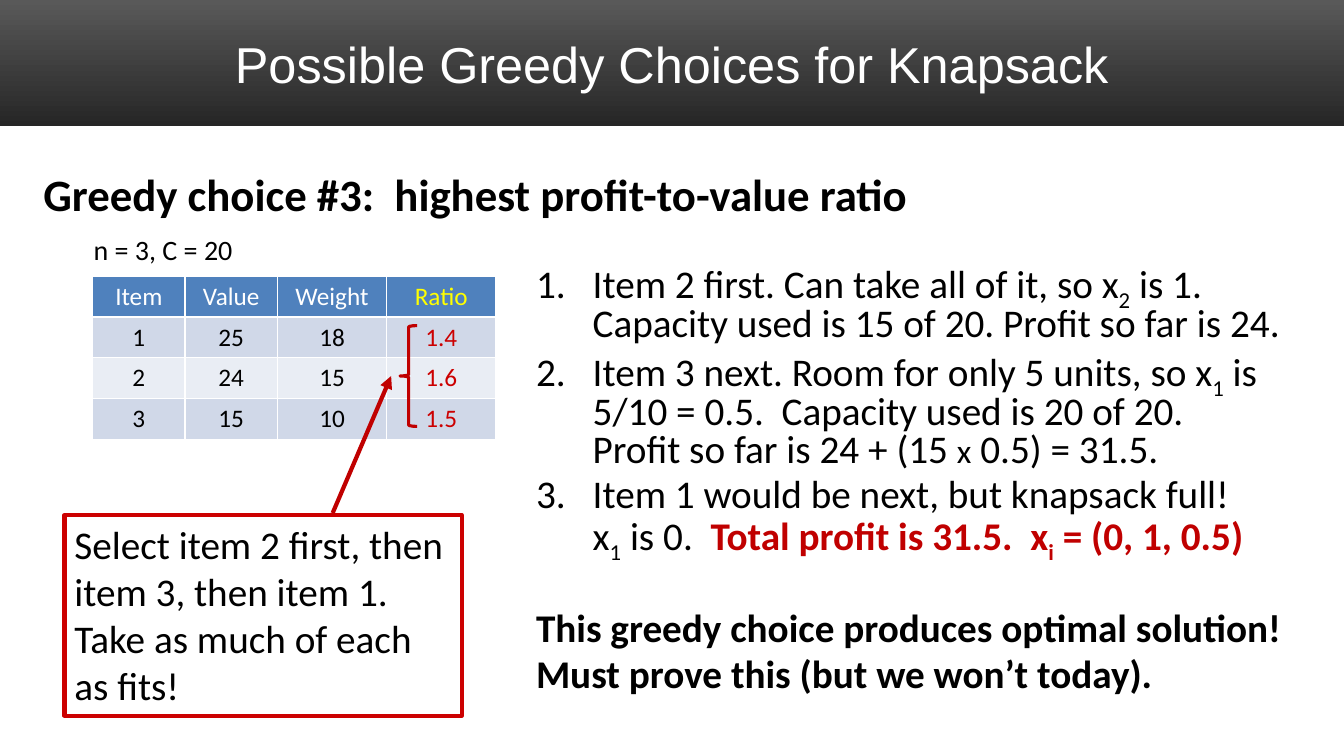
"""Builds the slide on the profit ratio as a greedy choice for the knapsack problem."""
from dataclasses import dataclass, field
from typing import Any, NamedTuple, Optional

from lxml.etree import SubElement
from pptx import Presentation
from pptx.dml.color import RGBColor as Rgb
from pptx.enum.shapes import MSO_CONNECTOR as Connector, MSO_SHAPE as Preset
from pptx.enum.text import MSO_ANCHOR as Anchor, PP_ALIGN as Align
from pptx.oxml.ns import qn
from pptx.util import Pt


@dataclass(frozen=True)
class Theme:
    """Colours, fonts and type sizes of the slide."""
    black: Rgb = Rgb(0, 0, 0)
    white: Rgb = Rgb(255, 255, 255)
    yellow: Rgb = Rgb.from_string("FFFF00")
    red: Rgb = Rgb.from_string("CC0000")
    dark_red: Rgb = Rgb.from_string("C00000")
    header: Rgb = Rgb.from_string("4F81BD")
    bands: tuple[Rgb, Rgb] = (Rgb.from_string("D0D8E8"), Rgb.from_string("E9EDF4"))
    banner: tuple[Rgb, Rgb] = (Rgb.from_string("595959"), Rgb.from_string("262626"))
    title_font: str = "Arial"
    body_font: str = "Calibri"
    title: float = 36
    heading: float = 32
    body: float = 28
    factor: float = 24
    caption: float = 20
    cell: float = 18


THEME = Theme()


class Frame(NamedTuple):
    """Left, top, width and height in points."""
    left: float
    top: float
    width: float
    height: float


class Span(NamedTuple):
    """A stretch of text with one format."""
    text: str
    size: float = THEME.body
    color: Rgb = THEME.black
    bold: bool = False
    subscript: bool = False
    font: str = THEME.body_font


@dataclass(frozen=True)
class Para:
    """A paragraph made of spans."""
    spans: list[Span]
    numbered: bool = False
    formats: dict[str, Any] = field(default_factory=dict)


@dataclass(frozen=True)
class Block:
    """A text box with its paragraphs."""
    frame: Frame
    paras: list[Para]
    formats: dict[str, Any] = field(default_factory=dict)
    outline: Optional[Rgb] = None


def emphasis(text: str, subscript: bool = False) -> Span:
    """Returns a bold dark red span."""
    return Span(text, color=THEME.dark_red, bold=True, subscript=subscript)


def index(text: str) -> Span:
    """Returns a subscript span."""
    return Span(text, subscript=True)


TIGHT = {"line_spacing": 0.8}
SPACED = TIGHT | {"space_before": Pt(5.6)}
CENTERED = {"alignment": Align.CENTER}

BANNER = Frame(0, 0, 960, 90)
TABLE = Frame(66.2, 197.2, 288, 116.8)
COLUMNS = (66, 66, 78, 78)
BRACE = Frame(285.8, 232.6, 12.2, 72)
ARROW = ((237.6, 366.5), (279.4, 268.6))
ITEMS = (
    ("Item", "Value", "Weight", "Ratio"),
    ("1", "25", "18", "1.4"),
    ("2", "24", "15", "1.6"),
    ("3", "15", "10", "1.5"),
)

STEPS = [
    Para([Span("Item 2 first. Can take all of it, so x"), index("2"),
          Span(" is 1.\nCapacity used is 15 of 20. Profit so far is 24.")], True, TIGHT),
    Para([Span("Item 3 next. Room for only 5 units, so x"), index("1"),
          Span(" is 5/10 = 0.5.  Capacity used is 20 of 20.\nProfit so far is 24 + (15 "),
          Span("x", THEME.factor), Span(" 0.5) = 31.5.")], True, SPACED),
    Para([Span("Item 1 would be next, but knapsack full!\nx"), index("1"), Span(" is 0.  "),
          emphasis("Total profit is 31.5.  x"), emphasis("i", True),
          emphasis(" = (0, 1, 0.5)")], True, SPACED),
    Para([Span("This greedy choice produces optimal solution!", bold=True)],
         formats=TIGHT | {"space_before": Pt(38.5)}),
    Para([Span("Must prove this (but we won’t today).", bold=True)], formats=SPACED),
]

BLOCKS = [
    Block(Frame(48, 12.2, 864, 66.2),
          [Para([Span("Possible Greedy Choices for Knapsack", THEME.title, THEME.white,
                      font=THEME.title_font)], formats=CENTERED)],
          {"vertical_anchor": Anchor.MIDDLE}),
    Block(Frame(23.8, 120.2, 780, 372),
          [Para([Span("Greedy choice #3:  highest profit-to-value ratio", THEME.heading,
                      bold=True)], formats={"line_spacing": 0.9})]),
    Block(Frame(59.8, 162.7, 114.5, 31.7),
          [Para([Span("n = 3, C = 20", THEME.caption)])], {"word_wrap": False}),
    Block(Frame(46.1, 367.9, 283.7, 143.3),
          [Para([Span("Select item 2 first, then item 3, then item 1.\n"
                      "Take as much of each as fits!")])], outline=THEME.red),
    Block(Frame(375.8, 182.2, 560.2, 324), STEPS, {"margin_top": Pt(6.5)}),
]


def assign(target: Any, formats: dict[str, Any]) -> None:
    """Sets every format value on the target."""
    for name, value in formats.items():
        setattr(target, name, value)


def write(paragraph: Any, para: Para) -> None:
    """Fills a paragraph with formatted spans."""
    assign(paragraph, para.formats)
    if para.numbered:
        properties = paragraph._p.get_or_add_pPr()
        properties.set("marL", str(Pt(40.5)))
        properties.set("indent", str(Pt(-40.5)))
        SubElement(properties, qn("a:buFont"), typeface="+mj-lt")
        SubElement(properties, qn("a:buAutoNum"), type="arabicPeriod")
    for span in para.spans:
        for position, line in enumerate(span.text.split("\n")):
            if position:
                paragraph.add_line_break()
            run = paragraph.add_run()
            run.text = line
            assign(run.font, {"name": span.font, "size": Pt(span.size), "bold": span.bold})
            run.font.color.rgb = span.color
            if span.subscript:
                run._r.get_or_add_rPr().set("baseline", "-25000")


def add_block(shapes: Any, block: Block) -> None:
    """Adds a text box."""
    box = shapes.add_textbox(*map(Pt, block.frame))
    assign(box.text_frame, {"word_wrap": True} | block.formats)
    if block.outline:
        box.line.color.rgb = block.outline
        box.line.width = Pt(3)
    for position, para in enumerate(block.paras):
        text = box.text_frame
        write(text.add_paragraph() if position else text.paragraphs[0], para)


def add_banner(shapes: Any) -> None:
    """Adds the gradient band behind the title."""
    banner = shapes.add_shape(Preset.RECTANGLE, *map(Pt, BANNER))
    banner.shadow.inherit = False
    banner.line.fill.background()
    banner.fill.gradient()
    banner.fill.gradient_angle = 270
    for stop, color in zip(banner.fill.gradient_stops, THEME.banner):
        stop.color.rgb = color


def add_border(cell: Any) -> None:
    """Adds thin white borders to a cell."""
    properties = cell._tc.get_or_add_tcPr()
    for position, side in enumerate(("lnL", "lnR", "lnT", "lnB")):
        line = SubElement(properties, qn(f"a:{side}"), w=str(Pt(1)))
        SubElement(SubElement(line, qn("a:solidFill")), qn("a:srgbClr"), val=str(THEME.white))
        properties.insert(position, line)


def add_items(shapes: Any) -> None:
    """Adds the table of items with their ratios."""
    items = shapes.add_table(len(ITEMS), len(COLUMNS), *map(Pt, TABLE)).table
    for column, width in zip(items.columns, COLUMNS):
        column.width = Pt(width)
    for r, values in enumerate(ITEMS):
        for c, value in enumerate(values):
            is_ratio = c == len(COLUMNS) - 1
            plain, ratio = (THEME.black, THEME.red) if r else (THEME.white, THEME.yellow)
            cell = items.cell(r, c)
            cell.fill.solid()
            cell.fill.fore_color.rgb = THEME.bands[(r - 1) % 2] if r else THEME.header
            add_border(cell)
            span = Span(value, THEME.cell, ratio if is_ratio else plain)
            write(cell.text_frame.paragraphs[0], Para([span], formats=CENTERED))


def add_pointer(shapes: Any) -> None:
    """Adds the brace by the ratios and the arrow to it."""
    (x1, y1), (x2, y2) = ARROW
    arrow = shapes.add_connector(Connector.STRAIGHT, Pt(x1), Pt(y1), Pt(x2), Pt(y2))
    brace = shapes.add_shape(Preset.LEFT_BRACE, *map(Pt, BRACE))
    brace.shadow.inherit = False
    brace.fill.background()
    for part, width in ((arrow, 3), (brace, 2.25)):
        part.line.color.rgb = THEME.dark_red
        part.line.width = Pt(width)
    SubElement(arrow.line._get_or_add_ln(), qn("a:tailEnd"), type="triangle")
    SubElement(arrow._element.spPr, qn("a:effectLst"))


def main() -> None:
    """Builds and saves the slide."""
    deck = Presentation()
    assign(deck, {"slide_width": Pt(960), "slide_height": Pt(540)})
    shapes = deck.slides.add_slide(deck.slide_layouts[6]).shapes
    add_banner(shapes)
    add_items(shapes)
    for block in BLOCKS:
        add_block(shapes, block)
    add_pointer(shapes)
    deck.save("out.pptx")


if __name__ == "__main__":
    main()
